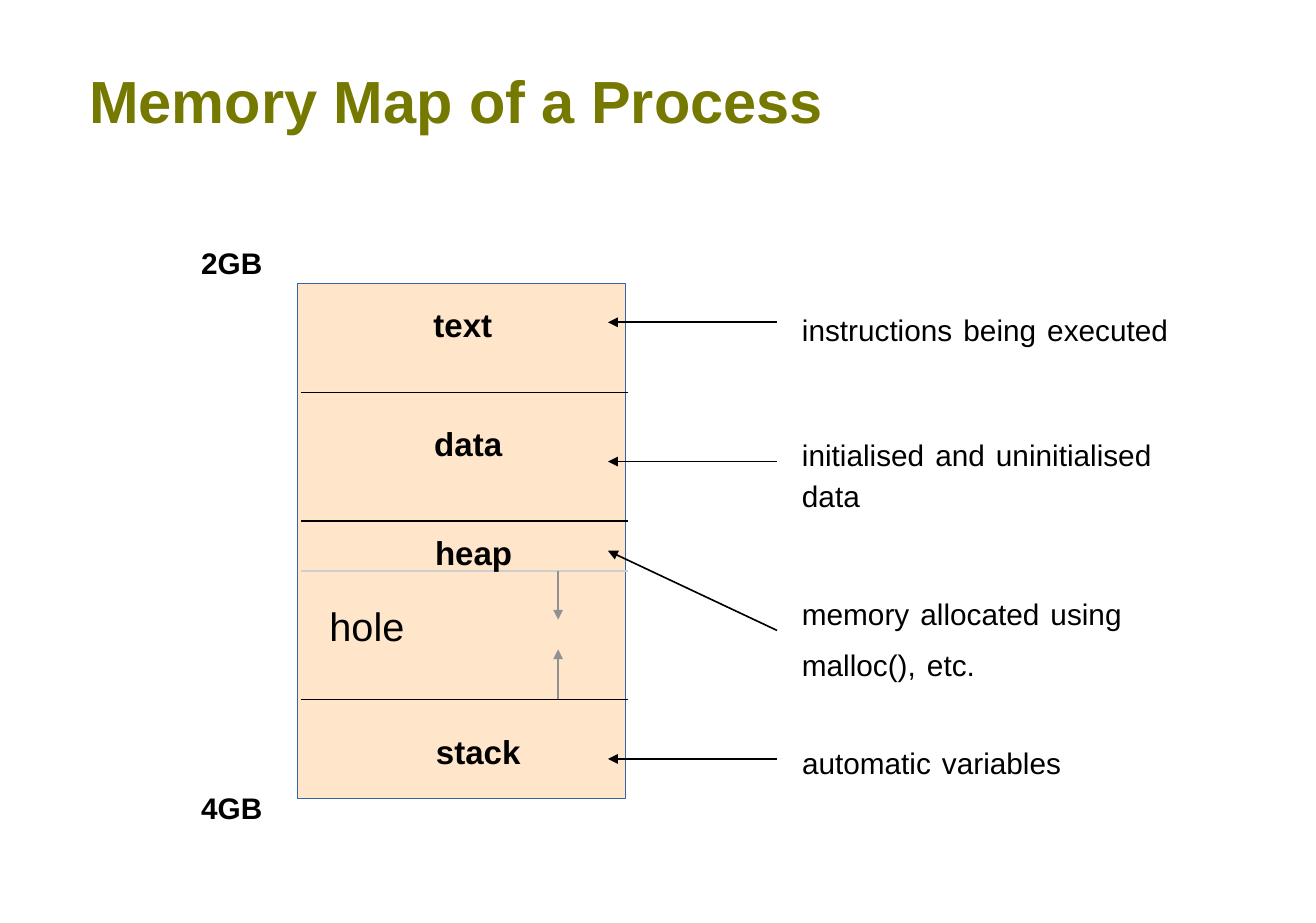
from dataclasses import dataclass

from lxml import etree
from pptx import Presentation
from pptx.dml.color import RGBColor
from pptx.enum.shapes import MSO_CONNECTOR, MSO_SHAPE
from pptx.enum.text import MSO_ANCHOR, MSO_AUTO_SIZE, PP_ALIGN
from pptx.oxml.ns import qn
from pptx.slide import Slide
from pptx.text.text import TextFrame
from pptx.util import Pt

LEFT = PP_ALIGN.LEFT
CENTER = PP_ALIGN.CENTER
TOP = MSO_ANCHOR.TOP
FIXED = MSO_AUTO_SIZE.NONE
RECT = MSO_SHAPE.RECTANGLE
STRAIGHT = MSO_CONNECTOR.STRAIGHT

BLACK = RGBColor(0x00, 0x00, 0x00)
OLIVE = RGBColor(0x76, 0x79, 0x00)
PEACH = RGBColor(0xFF, 0xE5, 0xCA)
BLUE = RGBColor(0x34, 0x65, 0xA4)
GRAY = RGBColor(0x91, 0x91, 0x91)
SILVER = RGBColor(0xCE, 0xCE, 0xCE)

FONT = "Arial"
SPACING = 1.08
BAR_LEFT, BAR_RIGHT = 182.2, 380.2
NOTE_LEFT = 485.3
ARROW_START, ARROW_END = 470.2, 367.9
GROWTH = 337.7
HEAP_END, STACK_TOP = 345.6, 423.4


@dataclass
class Label:
    text: str
    left: float
    top: float
    width: float
    height: float = 31.7
    size: float = 20
    bold: bool = True
    align: PP_ALIGN = CENTER
    gap: float = 0


@dataclass
class Line:
    x1: float
    y1: float
    x2: float
    y2: float
    color: RGBColor = BLACK
    width: float = 1
    head: bool = False


def bar(y: float, color: RGBColor = BLACK) -> Line:
    return Line(BAR_LEFT, y, BAR_RIGHT, y, color)


def arrow(start: float, end: float) -> Line:
    return Line(ARROW_START, start, ARROW_END, end, head=True)


def growth(start: float, end: float) -> Line:
    return Line(GROWTH, start, GROWTH, end, GRAY, 1.7, True)


def note(text: str, top: float, width: float = 227.5, height: float = 62.6) -> Label:
    return Label(text, NOTE_LEFT, top, width, height, 18, False, LEFT, 24)


LINES = [
    bar(237.6), bar(315.4), bar(STACK_TOP), bar(HEAP_END, SILVER),
    growth(STACK_TOP, 393.1), growth(HEAP_END, 375.1),
    arrow(195.1, 195.1), arrow(279.4, 279.4), arrow(381.6, 333.4), arrow(459.4, 459.4),
]

LABELS = [
    Label("text", 244.1, 182.2, 72),
    Label("data", 254.9, 254.2, 56.9),
    Label("heap", 254.9, 320.4, 63.4),
    Label("stack", 254.9, 440.6, 69.1),
    Label("hole", 199.4, 362.2, 69.8, 33.1, 24, False, LEFT),
    Label("2GB", 121.7, 146.2, 56.9, size=18, align=LEFT),
    Label("4GB", 121.7, 476.6, 56.9, size=18, align=LEFT),
    note("instructions being executed", 180.7),
    note("initialised and uninitialised data", 256.3),
    note("memory allocated using malloc(), etc.", 352.1, height=65.5),
    note("automatic variables", 442.8, 239, 33.8),
]


def write(frame: TextFrame, label: Label, color: RGBColor) -> None:
    form = {
        "margin_left": 0, "margin_right": 0, "margin_top": 0, "margin_bottom": 0,
        "word_wrap": True, "auto_size": FIXED, "vertical_anchor": TOP,
    }
    for key, value in form.items():
        setattr(frame, key, value)
    para = frame.paragraphs[0]
    para.alignment = label.align
    para.line_spacing = SPACING
    plain = (label.size, label.bold)
    parts = [(label.text, plain)]
    if label.gap:
        parts = []
        for word in label.text.split():
            if parts:
                parts.append((" ", (label.gap, True)))
            parts.append((word, plain))
    for text, (size, bold) in parts:
        run = para.add_run()
        run.text = text
        for key, value in {"name": FONT, "size": Pt(size), "bold": bold}.items():
            setattr(run.font, key, value)
        run.font.color.rgb = color


def place(slide: Slide, label: Label) -> None:
    box = slide.shapes.add_textbox(
        Pt(label.left), Pt(label.top), Pt(label.width), Pt(label.height))
    write(box.text_frame, label, BLACK)


def draw(slide: Slide, line: Line) -> None:
    link = slide.shapes.add_connector(
        STRAIGHT, Pt(line.x1), Pt(line.y1), Pt(line.x2), Pt(line.y2))
    link.line.color.rgb = line.color
    link.line.width = Pt(line.width)
    if line.head:
        stroke = link.line._get_or_add_ln()
        etree.SubElement(stroke, qn("a:tailEnd"), type="triangle")
    etree.SubElement(link._element.spPr, qn("a:effectLst"))


def main() -> None:
    deck = Presentation()
    deck.slide_width, deck.slide_height = Pt(796.3), Pt(558.7)
    slide = deck.slides.add_slide(deck.slide_layouts[5])

    head = Label("Memory Map of a Process", 54, 35.3, 676.8, 83.5, 36, align=LEFT)
    title = slide.shapes.title
    for key in ("left", "top", "width", "height"):
        setattr(title, key, Pt(getattr(head, key)))
    write(title.text_frame, head, OLIVE)

    block = slide.shapes.add_shape(RECT, Pt(180), Pt(171.4), Pt(198.7), Pt(311.8))
    block.shadow.inherit = False
    block.fill.solid()
    block.fill.fore_color.rgb = PEACH
    block.line.color.rgb = BLUE
    block.line.width = Pt(0)

    for line in LINES:
        draw(slide, line)
    for label in LABELS:
        place(slide, label)
    deck.save("out.pptx")


if __name__ == "__main__":
    main()
